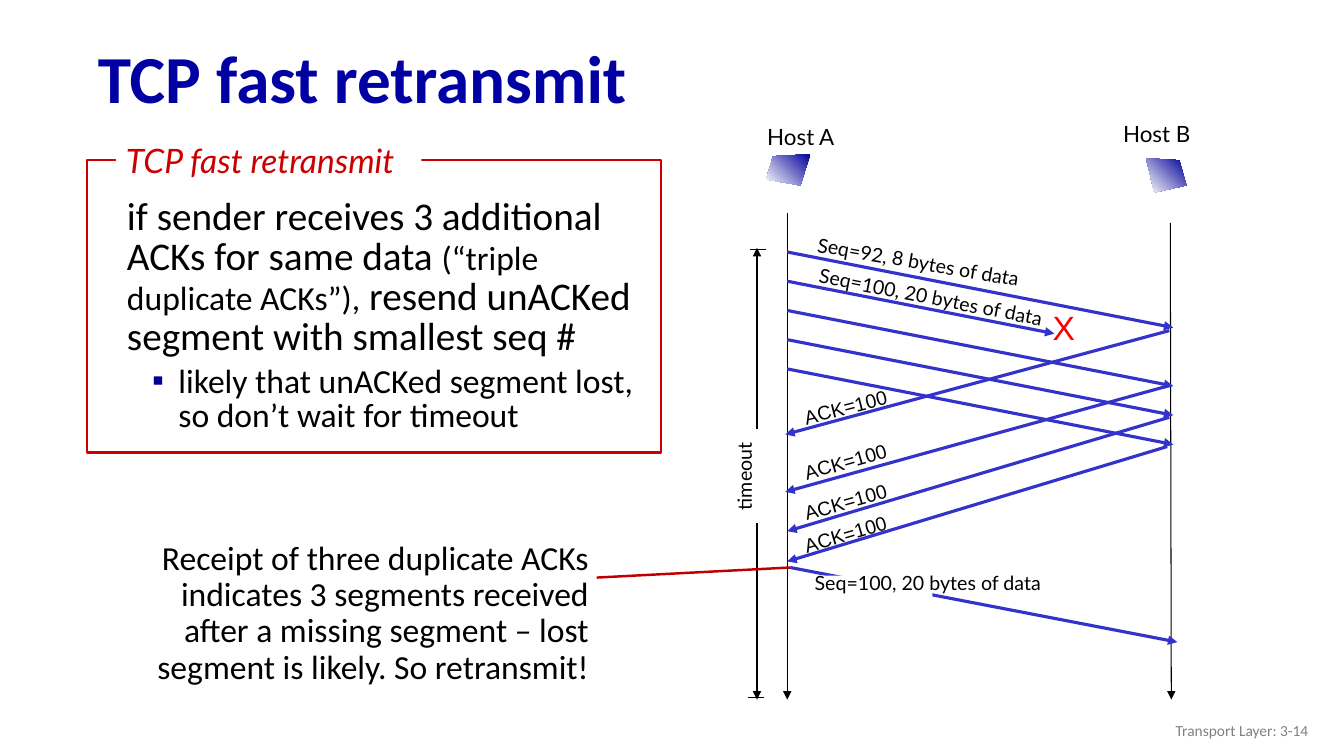
from lxml.etree import SubElement
from pptx import Presentation
from pptx.dml.color import RGBColor
from pptx.enum.shapes import MSO_CONNECTOR, MSO_SHAPE
from pptx.enum.text import MSO_ANCHOR, MSO_AUTO_SIZE, PP_ALIGN
from pptx.oxml.ns import qn
from pptx.util import Inches, Pt

# All lengths are cells of a square grid: 133.33 columns by 75 rows.
CELL = Inches(0.1)
COLUMNS, ROWS = 133.33, 75
COLORS = {
    "title": "0000A3", "text": "000000", "segment": "3333CC", "lost": "FF0000",
    "frame": "CC0000", "callout": "C00000", "host": "000099", "bullet": "000099",
    "footer": "808080", "paper": "FFFFFF",
}
LEFT, CENTER, RIGHT = PP_ALIGN.LEFT, PP_ALIGN.CENTER, PP_ALIGN.RIGHT


def cells(*values):
    return [round(value * CELL) for value in values]


def color(name):
    return RGBColor.from_string(COLORS[name])


def write(paragraph, text, size=14, font="Lato", ink="text", align=LEFT,
          bold=False, italic=False, spacing=None, before=0):
    """Fill a paragraph with a string, or with (string, size) pairs."""
    paragraph.alignment = align
    paragraph.space_before = Pt(before)
    if spacing:
        paragraph.line_spacing = spacing
    pieces = [(text, size)] if isinstance(text, str) else text
    for piece, points in pieces:
        run = paragraph.add_run()
        run.text = piece
        run.font.name, run.font.size = font, Pt(points)
        run.font.bold, run.font.italic = bold, italic
        run.font.color.rgb = color(ink)


def add_label(slide, box, text, rotation=0, wrap=False, fill=None,
              anchor=MSO_ANCHOR.TOP, **style):
    shape = slide.shapes.add_textbox(*cells(*box))
    shape.rotation = rotation
    if fill:
        shape.fill.solid()
        shape.fill.fore_color.rgb = color(fill)
    frame = shape.text_frame
    frame.word_wrap, frame.vertical_anchor = wrap, anchor
    write(frame.paragraphs[0], text, **style)


def add_line(slide, start, end, ink="text", width=0.75, arrow=False):
    line = slide.shapes.add_connector(MSO_CONNECTOR.STRAIGHT, *cells(*start, *end))
    line.line.color.rgb = color(ink)
    line.line.width = Pt(width)
    if arrow:
        SubElement(line.line._get_or_add_ln(), qn("a:tailEnd"), type="triangle")
    SubElement(line._element.spPr, qn("a:effectLst"))


def add_rectangle(slide, box, fill=None, outline=None):
    shape = slide.shapes.add_shape(MSO_SHAPE.RECTANGLE, *cells(*box))
    shape.shadow.inherit = False
    if fill:
        shape.fill.solid()
        shape.fill.fore_color.rgb = color(fill)
    else:
        shape.fill.background()
    if outline:
        shape.line.color.rgb = color(outline)
        shape.line.width = Pt(1.5)
    else:
        shape.line.fill.background()


def place(placeholder, box, anchor):
    placeholder.left, placeholder.top, placeholder.width, placeholder.height = cells(*box)
    frame = placeholder.text_frame
    frame.word_wrap, frame.auto_size = True, MSO_AUTO_SIZE.NONE
    frame.vertical_anchor = anchor
    return frame


def set_bullet(paragraph, margin=0, hanging=0, character=None):
    properties = paragraph._p.get_or_add_pPr()
    properties.set("marL", str(Inches(margin)))
    properties.set("indent", str(-Inches(hanging)))
    if character is None:
        SubElement(properties, qn("a:buNone"))
        return
    bullet_color = SubElement(properties, qn("a:buClr"))
    SubElement(bullet_color, qn("a:srgbClr"), val=COLORS["bullet"])
    SubElement(properties, qn("a:buFont"), typeface="Arial")
    SubElement(properties, qn("a:buChar"), char=character)


def add_title(slide, box):
    frame = place(slide.shapes.title, box, MSO_ANCHOR.MIDDLE)
    write(frame.paragraphs[0], "TCP fast retransmit", size=48, font="Calibri",
          ink="title", bold=True, spacing=0.9)


def add_definition(slide, box):
    """Framed rule with its heading set into the top edge."""
    left, top, width, height = box
    frame = place(slide.placeholders[1],
                  (left + 3, top + 3.3, width - 4.4, height - 4.2), MSO_ANCHOR.TOP)
    rule, reason = frame.paragraphs[0], frame.add_paragraph()
    set_bullet(rule)
    write(rule, [("if sender receives 3 additional ACKs for same data ", 28),
                 ("(“triple duplicate ACKs”),", 24),
                 (" resend unACKed segment with smallest seq #", 28)],
          font="Calibri", spacing=0.85)
    reason.level = 1
    set_bullet(reason, 0.51, 0.26, "▪")
    write(reason, "likely that unACKed segment lost, so don’t wait for timeout",
          size=24, font="Calibri", spacing=0.85, before=5)
    add_rectangle(slide, box, outline="frame")
    add_label(slide, (left + 2.9, top - 2.5, 30.3, 5), "TCP fast retransmit",
              fill="paper", anchor=MSO_ANCHOR.MIDDLE, size=24, ink="frame", italic=True)


def add_remark(slide, box, target):
    left, top, width, _ = box
    add_label(slide, box, "Receipt of three duplicate ACKs indicates 3 segments received "
              "after a missing segment – lost segment is likely. So retransmit!",
              wrap=True, size=24, font="Calibri", align=RIGHT, spacing=0.9)
    add_line(slide, (left + width - 0.2, top + 4.1), target, "callout", 1.75)


def add_timeline(slide, box):
    """Message exchange between the lifelines on the box's left and right edges."""
    left, top, width, height = box

    def point(x, y):
        return left + x, top + y

    def line(start, end, **style):
        add_line(slide, point(*start), point(*end), **style)

    def label(x, y, w, h, text, **style):
        add_label(slide, (*point(x, y), w, h), text, align=CENTER, **style)

    def segment(start, end):
        line(start, end, ink="segment", width=2.25, arrow=True)

    def host(name, x, y, corners):
        label(x, y, 11.7, 4.3, name, size=16)
        first, *others = [cells(*point(*corner)) for corner in corners]
        builder = slide.shapes.build_freeform(*first)
        builder.add_line_segments(others, close=True)
        icon = builder.convert_to_shape()
        icon.shadow.inherit = False
        icon.line.fill.background()
        icon.fill.gradient()
        icon.fill.gradient_angle = 225
        for stop, name in zip(icon.fill.gradient_stops, ("host", "paper")):
            stop.color.rgb = color(name)

    line((0, 0), (0, height), arrow=True)
    line((width - 0.1, 1), (width, height), arrow=True)
    host("Host A", -4.5, -9.4, [(2.3, -5.8), (-1.4, -5.6), (-2.1, -3.3), (1.3, -2.7)])
    host("Host B", 30.8, -9.7, [(35.6, -5.4), (38.9, -5.2), (39.6, -2.7), (36.4, -2)])

    label(-9, 24.2, 10, 3.9, "timeout", rotation=270)
    for gap_edge, limit in ((21.5, 3.5), (30.8, height)):
        line((-3, gap_edge), (-3, limit), arrow=True)
    for tick_left, y in ((-3.7, 3.7), (-3.9, height - 0.2)):
        line((tick_left, y), (tick_left + 1.6, y))

    acks = [(37.9, 11.7, -0.2, 22, 17.6, -14.4), (38.1, 17.1, -0.2, 27.7, 23, -16.1),
            (37.9, 20.3, 0, 31.6, 27, -15.7), (37.7, 23.2, 0, 34.6, 30.2, -16.2)]
    for start_x, start_y, end_x, end_y, label_y, rotation in acks:
        segment((start_x, start_y), (end_x, end_y))
        label(-1.35, label_y, 14.4, 3.9, "ACK=100", rotation=rotation, font="Arial")

    lost = 1
    for index in range(5):
        y = 3.9 + 2.9 * index
        reach, drop = (26.5, 5.2) if index == lost else (width + 0.2, 7.5)
        segment((0, y), (reach, y + drop))
    label(25.3, 8.9, 4.3, 5.8, "X", size=24, font="Arial", ink="lost")
    label(1.4, 3.2, 23.2, 3.4, "Seq=92, 8 bytes of data", rotation=9.7)
    label(1.6, 6.7, 25.3, 3.4, "Seq=100, 20 bytes of data", rotation=11.1)

    segment((0.3, 35.2), (width + 0.6, 42.6))
    add_rectangle(slide, (*point(2.9, 36), 11.5, 2.9), fill="paper")
    label(-3.3, 35, 34.5, 3.9, "Seq=100, 20 bytes of data")


def add_footer(slide, box):
    add_label(slide, box, "Transport Layer: 3-14", wrap=True, anchor=MSO_ANCHOR.MIDDLE,
              size=11, font="Calibri", ink="footer", align=RIGHT)


def main():
    presentation = Presentation()
    presentation.slide_width, presentation.slide_height = cells(COLUMNS, ROWS)
    slide = presentation.slides.add_slide(presentation.slide_layouts[1])
    add_title(slide, (8.7, 3.2, COLUMNS - 8.7, 9.8))
    add_timeline(slide, (78.1, 21.1, 38.1, 48.3))
    add_remark(slide, (14.1, 53.2, 45.3, 15.6), target=(78.4, 56.3))
    add_definition(slide, (8.6, 15.9, 57, 29))
    add_footer(slide, (100.8, 70.5, 30, 4))
    presentation.save("out.pptx")


if __name__ == "__main__":
    main()
